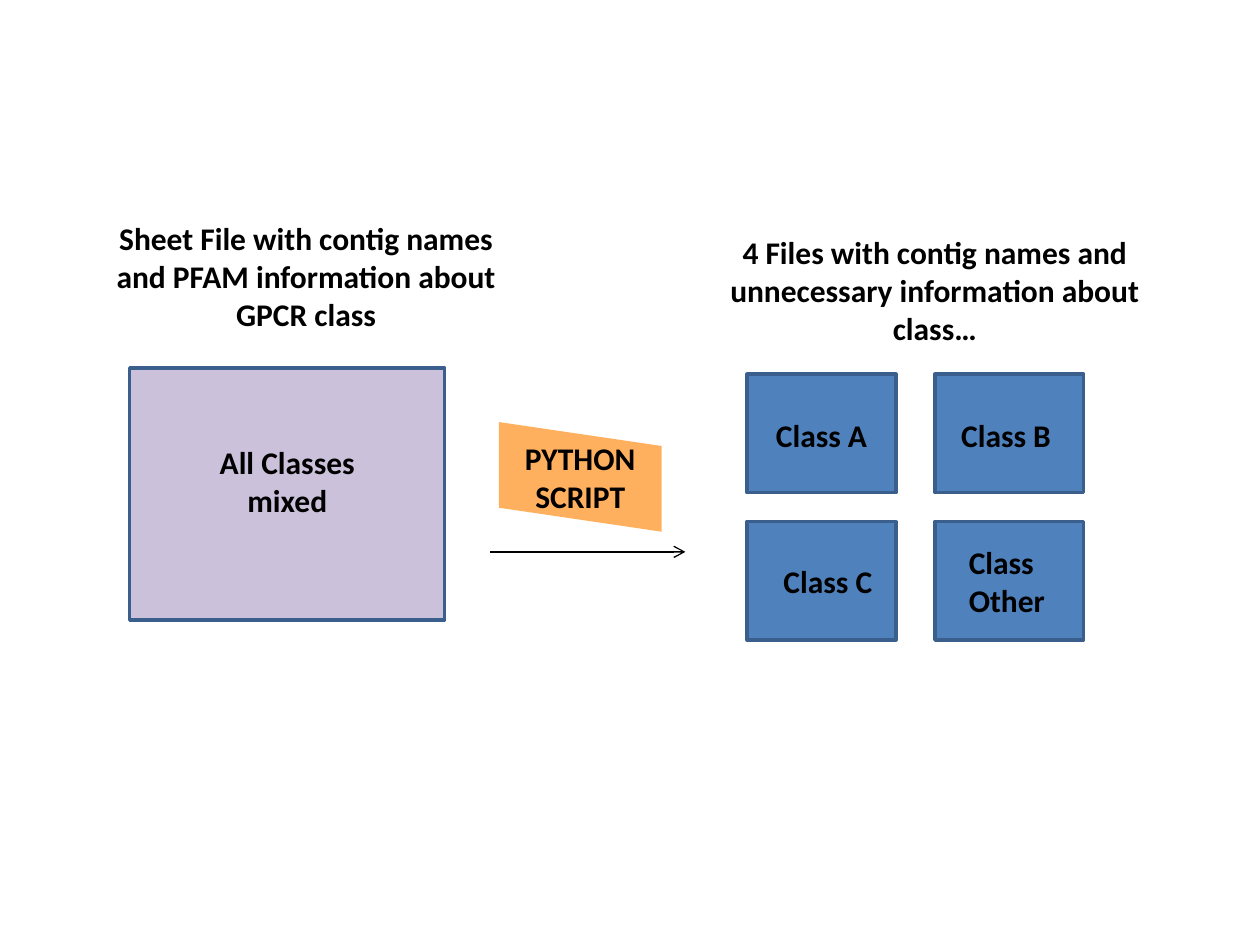
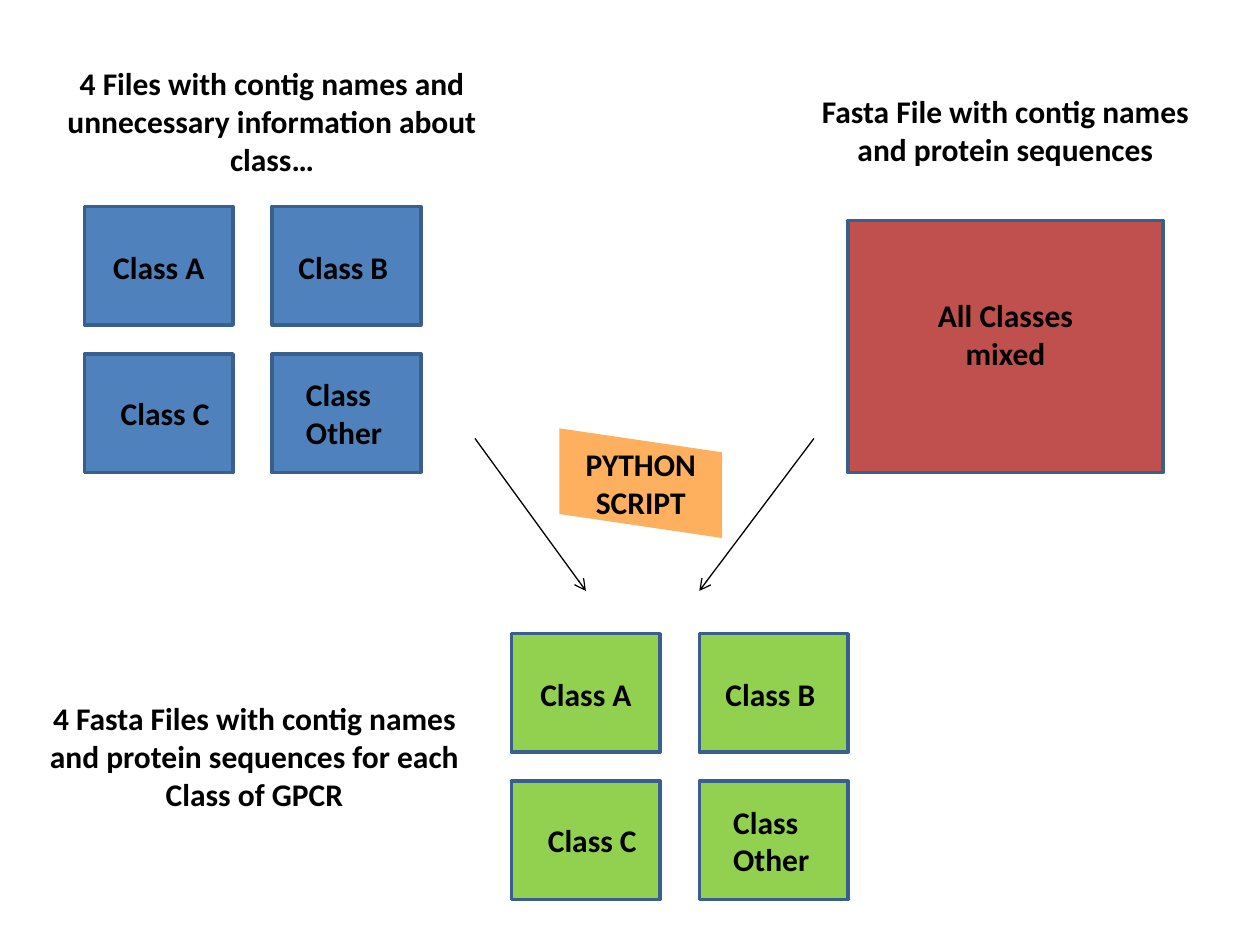
from dataclasses import dataclass

from lxml.etree import SubElement
from pptx import Presentation
from pptx.dml.color import RGBColor as RGB
from pptx.enum.shapes import MSO_CONNECTOR as Connector, MSO_SHAPE as Shape
from pptx.enum.text import MSO_ANCHOR as Anchor, MSO_AUTO_SIZE as AutoSize, PP_ALIGN as Align
from pptx.oxml.ns import qn
from pptx.util import Inches, Pt


@dataclass(frozen=True)
class Theme:
    font: str = "Calibri"
    text_size: float = 18
    border_width: float = 2
    arrow_width: float = 0.75
    ink: str = "000000"
    border: str = "3A5F8C"
    class_files: str = "4F81BD"
    fasta_files: str = "92D050"
    sheet_file: str = "CCC1DA"
    fasta_source: str = "C0504D"
    script: str = "FFB05F"


THEME = Theme()

CLASS_FILES_CAPTION = "4 Files with contig names and unnecessary information about class…"

# Class grid: box size, spacing, and each label with its inset in the box
BOX_WIDTH, BOX_HEIGHT = 1.18, 0.94
COLUMN_STEP, ROW_STEP = 1.49, 1.17
CLASS_LABELS = [
    (["Class A"], 0, 0, 0.13, 0.28, 0.93, 0.4),
    (["Class B"], 1, 0, 0.11, 0.28, 0.93, 0.4),
    (["Class C"], 0, 1, 0.19, 0.27, 0.93, 0.4),
    (["Class", "Other"], 1, 1, 0.17, 0.12, 0.81, 0.71),
]


def write_lines(frame, lines, align):
    """Fill a text frame with bold paragraphs in the theme font."""
    for index, line in enumerate(lines):
        para = frame.paragraphs[0] if index == 0 else frame.add_paragraph()
        para.text = line
        para.alignment = align
        para.font.name = THEME.font
        para.font.size = Pt(THEME.text_size)
        para.font.bold = True
        para.font.color.rgb = RGB.from_string(THEME.ink)


def add_text(page, lines, left, top, width, height, align=Align.CENTER, wrap=True):
    box = page.shapes.add_textbox(Inches(left), Inches(top), Inches(width), Inches(height))
    box.text_frame.word_wrap = wrap
    box.text_frame.auto_size = AutoSize.SHAPE_TO_FIT_TEXT
    write_lines(box.text_frame, lines, align)


def add_caption(page, text, left, top, height=1.01):
    add_text(page, [text], left, top, 3.5, height)


def add_file_box(page, left, top, width, height, fill):
    box = page.shapes.add_shape(
        Shape.RECTANGLE, Inches(left), Inches(top), Inches(width), Inches(height))
    box.shadow.inherit = False
    box.fill.solid()
    box.fill.fore_color.rgb = RGB.from_string(fill)
    box.line.color.rgb = RGB.from_string(THEME.border)
    box.line.width = Pt(THEME.border_width)


def add_class_grid(page, left, top, fill):
    """Two by two file boxes, one for each class."""
    for lines, column, row, inset_x, inset_y, width, height in CLASS_LABELS:
        box_left = left + column * COLUMN_STEP
        box_top = top + row * ROW_STEP
        add_file_box(page, box_left, box_top, BOX_WIDTH, BOX_HEIGHT, fill)
        add_text(page, lines, box_left + inset_x, box_top + inset_y, width, height,
                 align=Align.LEFT, wrap=False)


def add_mixed_file(page, left, top, fill):
    add_file_box(page, left, top, 2.5, 2, fill)
    add_text(page, ["All Classes mixed"], left + 0.54, top + 0.55, 1.42, 0.71)


def add_script_sign(page, left, top):
    """Slanted sign that names the processing step."""
    width, side, slant = 1.29, 0.68, 0.19
    builder = page.shapes.build_freeform(Inches(left), Inches(top))
    builder.add_line_segments([
        (Inches(left + width), Inches(top + slant)),
        (Inches(left + width), Inches(top + slant + side)),
        (Inches(left), Inches(top + side)),
    ])
    sign = builder.convert_to_shape()
    sign.shadow.inherit = False
    sign.fill.solid()
    sign.fill.fore_color.rgb = RGB.from_string(THEME.script)
    sign.line.fill.background()
    frame = sign.text_frame
    frame.word_wrap = True
    frame.vertical_anchor = Anchor.MIDDLE
    frame.margin_top = frame.margin_bottom = Inches(0.05)
    write_lines(frame, ["PYTHON", "SCRIPT"], Align.CENTER)


def add_arrow(page, start, end):
    arrow = page.shapes.add_connector(
        Connector.STRAIGHT, *(Inches(value) for value in (*start, *end)))
    arrow.line.color.rgb = RGB.from_string(THEME.ink)
    arrow.line.width = Pt(THEME.arrow_width)
    properties = arrow.element.spPr
    SubElement(properties.find(qn("a:ln")), qn("a:tailEnd"), type="arrow")
    SubElement(properties, qn("a:effectLst"))


def build_split_page(page):
    # Result: one file for each class
    add_class_grid(page, 5.93, 2.97, THEME.class_files)
    add_caption(page, CLASS_FILES_CAPTION, 5.67, 1.8)
    # Input: mixed sheet
    add_mixed_file(page, 1.03, 2.92, THEME.sheet_file)
    add_caption(page, "Sheet File with contig names and PFAM information about GPCR class",
                0.68, 1.69)
    # Processing step
    add_arrow(page, (3.89, 4.38), (5.44, 4.38))
    add_script_sign(page, 3.96, 3.35)


def build_merge_page(page):
    # Inputs: class files and mixed sequences
    add_class_grid(page, 0.67, 1.64, THEME.class_files)
    add_caption(page, CLASS_FILES_CAPTION, 0.41, 0.46)
    add_mixed_file(page, 6.73, 1.75, THEME.fasta_source)
    add_caption(page, "Fasta File with contig names and protein sequences", 6.23, 0.68, 0.71)
    # Result: sequences for each class
    add_class_grid(page, 4.06, 5.03, THEME.fasta_files)
    add_caption(page, "4 Fasta Files with contig names and protein sequences "
                "for each Class of GPCR", 0.27, 5.5)
    # Processing step
    add_arrow(page, (3.77, 3.48), (4.65, 4.69))
    add_arrow(page, (6.46, 3.48), (5.55, 4.69))
    add_script_sign(page, 4.44, 3.4)


def main():
    deck = Presentation()
    deck.slide_width, deck.slide_height = Inches(10), Inches(7.5)
    blank_layout = deck.slide_layouts[6]
    for build_page in (build_split_page, build_merge_page):
        build_page(deck.slides.add_slide(blank_layout))
    deck.save("out.pptx")


if __name__ == "__main__":
    main()
